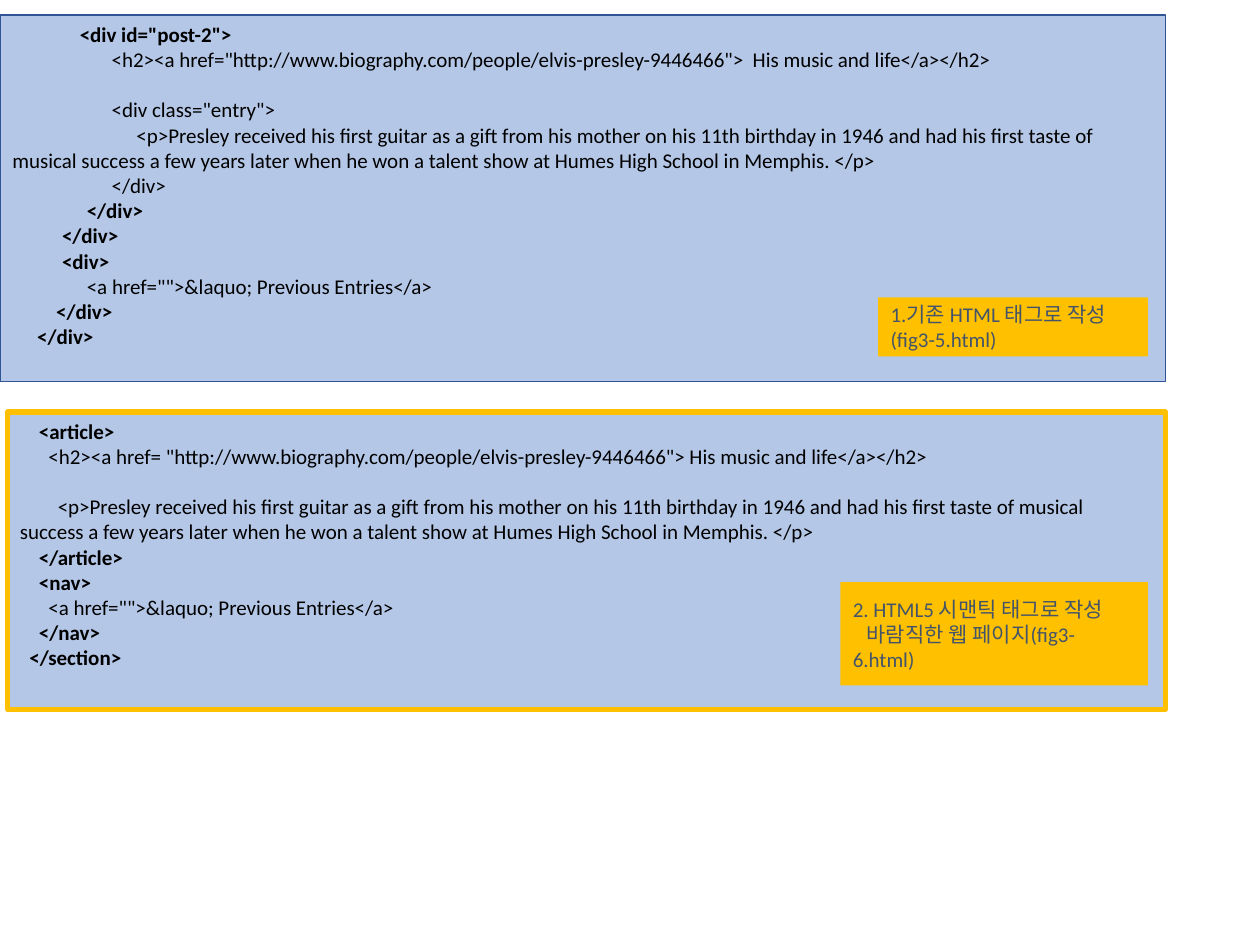
import pptx
import pptx.util
import pptx.dml.color
import pptx.enum.shapes
import pptx.enum.text
import lxml.etree
from pptx.oxml.ns import qn

COLORS = {"panel": "B4C7E7", "gold": "FFC000", "blue": "2F5597",
          "code": "000000", "note": "44546A"}
LINK = "http://www.biography.com/people/elvis-presley-9446466"
STORY = ("<p>Presley received his first guitar as a gift from his mother on his "
         "11th birthday in 1946 and had his first taste of musical success a few "
         "years later when he won a talent show at Humes High School in Memphis. </p>")
PREV = '<a href="">&laquo; Previous Entries</a>'

# Each code line: text, bold, blank line above
OLD = [
    ('\t         <div id="post-2">', True, False),
    (f'\t\t\t\t<h2><a href="{LINK}">  His music and life</a></h2>', False, False),
    ('\t\t\t\t<div class="entry">', False, True),
    ("\t\t\t\t\t" + STORY, False, False),
    ("\t\t\t\t</div>", False, False),
    ("\t\t\t</div>", True, False),
    ("\t\t</div>", True, False),
    ("\t\t<div>", True, False),
    ("\t\t\t" + PREV, False, False),
    ("\t    </div>", True, False),
    ("\t</div>", True, False),
]
NEW = [
    ("    <article>", True, False),
    (f'      <h2><a href= "{LINK}"> His music and life</a></h2>', False, False),
    ("        " + STORY, False, True),
    ("    </article>", True, False),
    ("    <nav>", True, False),
    ("      " + PREV, False, False),
    ("    </nav>", True, False),
    ("  </section>", True, False),
]


class Deck:
    """Style and current slide; lengths are cells of a 100 by 75 grid."""
    font, size, gap = "Calibri", 12, 14.4
    tab = pptx.util.Cm(0.5)

    def __init__(self):
        self.prs = pptx.Presentation()
        self.prs.slide_width = pptx.util.Inches(10)
        self.prs.slide_height = pptx.util.Inches(7.5)
        self.cell = self.prs.slide_width / 100
        self.slide = self.prs.slides.add_slide(self.prs.slide_layouts[6])

    def tint(self, name):
        return pptx.dml.color.RGBColor.from_string(COLORS[name])

    def box(self, area, fill, anchor):
        spot = [round(n * self.cell) for n in area]
        kind = pptx.enum.shapes.MSO_SHAPE.RECTANGLE
        shape = self.slide.shapes.add_shape(kind, *spot)
        shape.shadow.inherit = False
        shape.fill.solid()
        shape.fill.fore_color.rgb = self.tint(fill)
        shape.line.fill.background()
        shape.text_frame.word_wrap = True
        shape.text_frame.vertical_anchor = anchor
        return shape

    def para(self, frame, first, text, color, bold=False):
        para = frame.paragraphs[0] if first else frame.add_paragraph()
        para.text = text
        para.alignment = pptx.enum.text.PP_ALIGN.LEFT
        tabs = text.count("\t")
        if tabs:
            stops = lxml.etree.SubElement(para._p.get_or_add_pPr(), qn("a:tabLst"))
            for n in range(1, tabs + 1):
                lxml.etree.SubElement(stops, qn("a:tab"),
                                      pos=str(n * self.tab), algn="l")
        para.font.name = self.font
        para.font.size = pptx.util.Pt(self.size)
        para.font.bold = bold
        para.font.color.rgb = self.tint(color)
        return para

    def code(self, area, lines, edge, width):
        shape = self.box(area, "panel", pptx.enum.text.MSO_ANCHOR.TOP)
        shape.line.color.rgb = self.tint(edge)
        shape.line.width = pptx.util.Pt(width)
        for i, (text, bold, blank) in enumerate(lines):
            para = self.para(shape.text_frame, i == 0, text, "code", bold)
            if blank:
                para.space_before = pptx.util.Pt(self.gap)

    def note(self, area, lines):
        shape = self.box(area, "gold", pptx.enum.text.MSO_ANCHOR.MIDDLE)
        for i, text in enumerate(lines):
            para = self.para(shape.text_frame, i == 0, text, "note")
            if i:
                para._p.get_or_add_pPr().set("indent", str(pptx.util.Inches(0.11)))


def main():
    deck = Deck()
    # Code panels
    deck.code((0.6, 32.7, 91.9, 23.6), NEW, "gold", 3)
    deck.code((0, 1.2, 92.5, 29.1), OLD, "blue", 0.75)
    # Notes
    deck.note((69.7, 23.6, 21.4, 4.7), ["1.기존 HTML 태그로 작성(fig3-5.html)"])
    deck.note((66.7, 46.2, 24.4, 8.2),
              ["2. HTML5 시맨틱 태그로 작성", "바람직한 웹 페이지(fig3-6.html)"])
    deck.prs.save("out.pptx")


if __name__ == "__main__":
    main()
